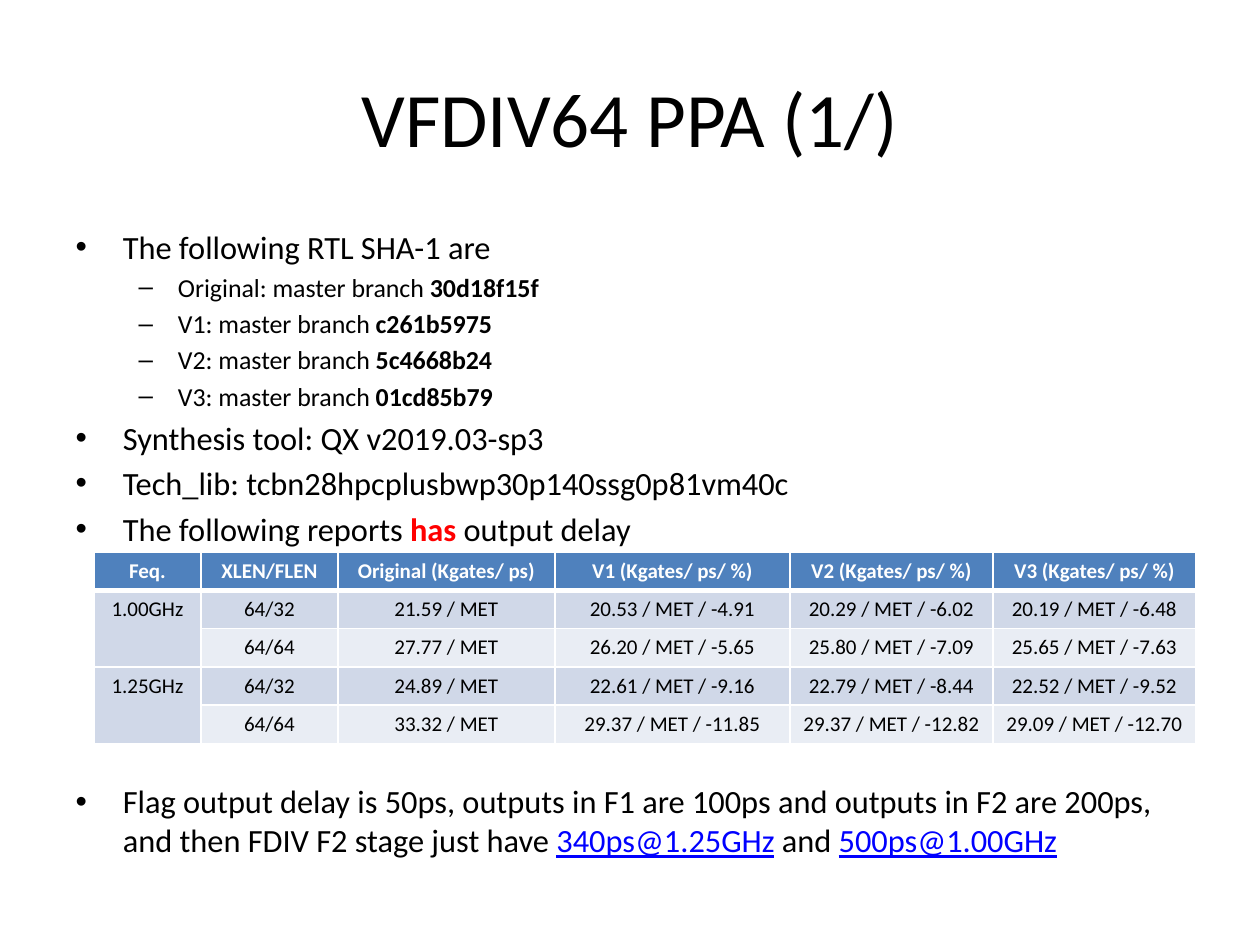
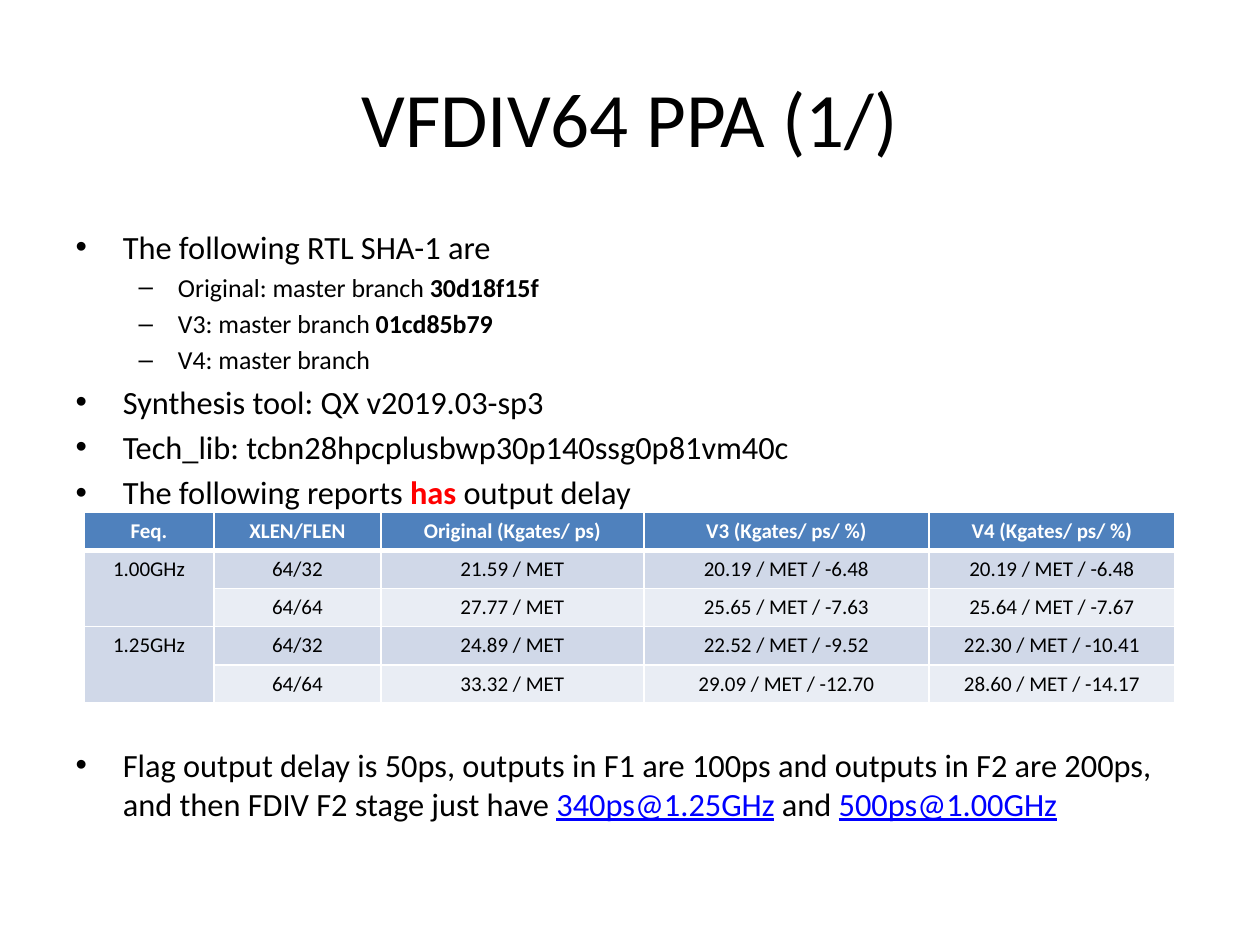
from lxml import etree
from pptx import Presentation
from pptx import util as u
from pptx.dml.color import RGBColor
from pptx.enum import text
from pptx.oxml import ns

PX = u.Inches(10) / 1260
FONT = "Calibri"
BLACK = RGBColor(0x00, 0x00, 0x00)
WHITE = RGBColor(0xFF, 0xFF, 0xFF)
RED = RGBColor(0xFF, 0x00, 0x00)
LINK_BLUE = RGBColor(0x00, 0x00, 0xFF)
HEADER_BLUE = RGBColor(0x4F, 0x81, 0xBD)
BANDS = [RGBColor(0xD0, 0xD8, 0xE8), RGBColor(0xE9, 0xED, 0xF4)]
ROW_HEIGHT = 38
SIZES = [18.5, 14.8]
GAPS = [3.7, 3]
TABLE_GAP = 133.7

FREQUENCIES = ["1.00GHz", "1.25GHz"]
BASELINE = [
    ("XLEN/FLEN", ["64/32", "64/64", "64/32", "64/64"]),
    ("Original (Kgates/ ps)", ["21.59 / MET", "27.77 / MET", "24.89 / MET", "33.32 / MET"]),
]
V3_RESULTS = ("V3 (Kgates/ ps/ %)", ["20.19 / MET / -6.48", "25.65 / MET / -7.63",
                                     "22.52 / MET / -9.52", "29.09 / MET / -12.70"])
REPORTS = [
    {
        "branches": [("Original: master branch ", "30d18f15f"), ("V1: master branch ", "c261b5975"),
                     ("V2: master branch ", "5c4668b24"), ("V3: master branch ", "01cd85b79")],
        "corner": (94, 552),
        "widths": [107, 137, 217, 235, 203, 203],
        "versions": [
            ("V1 (Kgates/ ps/ %)", ["20.53 / MET / -4.91", "26.20 / MET / -5.65",
                                    "22.61 / MET / -9.16", "29.37 / MET / -11.85"]),
            ("V2 (Kgates/ ps/ %)", ["20.29 / MET / -6.02", "25.80 / MET / -7.09",
                                    "22.79 / MET / -8.44", "29.37 / MET / -12.82"]),
            V3_RESULTS,
        ],
    },
    {
        "branches": [("Original: master branch ", "30d18f15f"), ("V3: master branch ", "01cd85b79"),
                     ("V4: master branch", "")],
        "corner": (84, 512),
        "widths": [130, 167, 263, 285, 246],
        "versions": [
            V3_RESULTS,
            ("V4 (Kgates/ ps/ %)", ["20.19 / MET / -6.48", "25.64 / MET / -7.67",
                                    "22.30 / MET / -10.41", "28.60 / MET / -14.17"]),
        ],
    },
]


def px(length):
    return u.Emu(round(length * PX))


def place(part, left, top, width, height):
    part.left, part.top, part.width, part.height = map(px, (left, top, width, height))


deck = Presentation()
deck.slide_width, deck.slide_height = px(1260), px(945)

for report in REPORTS:
    slide = deck.slides.add_slide(deck.slide_layouts[1])

    title = slide.shapes.title
    place(title, 63, 38, 1134, 158)
    title.text_frame.text = "VFDIV64 PPA (1/)"
    heading = title.text_frame.paragraphs[0]
    heading.alignment = text.PP_ALIGN.CENTER
    heading.font.size, heading.font.name = u.Pt(44), FONT
    heading.font.color.rgb = BLACK

    notes = slide.placeholders[1]
    place(notes, 63, 221, 1134, 624)
    notes.text_frame.auto_size = text.MSO_AUTO_SIZE.NONE
    lines = [(0, ["The following RTL SHA-1 are"])]
    lines += [(1, branch) for branch in report["branches"]]
    lines += [
        (0, ["Synthesis tool: QX v2019.03-sp3"]),
        (0, ["Tech_lib: tcbn28hpcplusbwp30p140ssg0p81vm40c"]),
        (0, ["The following reports ", "has ", "output delay"]),
        (0, ["Flag output delay is 50ps, outputs in F1 are 100ps and outputs in F2 are 200ps, "
             "and then FDIV F2 stage just have ", "340ps@1.25GHz", " and ", "500ps@1.00GHz"]),
    ]
    for index, (level, pieces) in enumerate(lines):
        line = notes.text_frame.paragraphs[0] if index == 0 else notes.text_frame.add_paragraph()
        line.level = level
        line.space_before = u.Pt(GAPS[level] if index else 0)
        line.font.size, line.font.name = u.Pt(SIZES[level]), FONT
        line.font.color.rgb = BLACK
        for piece in filter(None, pieces):
            run = line.add_run()
            run.text = piece
            if piece == "has ":
                run.font.bold = True
                run.font.color.rgb = RED
            elif "@" in piece:
                run.font.underline = True
                run.font.color.rgb = LINK_BLUE
            elif level == 1 and piece == pieces[1]:
                run.font.bold = True
    line.space_before = u.Pt(TABLE_GAP)

    columns = BASELINE + report["versions"]
    rows = [["Feq."] + [name for name, _ in columns]]
    for r in range(4):
        frequency = "" if r % 2 else FREQUENCIES[r // 2]
        rows.append([frequency] + [values[r] for _, values in columns])
    left, top = report["corner"]
    results = slide.shapes.add_table(
        len(rows), len(rows[0]), px(left), px(top),
        px(sum(report["widths"])), px(ROW_HEIGHT * len(rows))).table
    for column, width in zip(results.columns, report["widths"]):
        column.width = px(width)
    for r, row in enumerate(rows):
        results.rows[r].height = px(ROW_HEIGHT)
        for c, value in enumerate(row):
            cell = results.cell(r, c)
            cell.text = value
            if r == 0:
                rule = etree.SubElement(cell._tc.get_or_add_tcPr(), ns.qn("a:lnB"), w=str(u.Pt(3)))
                ink = etree.SubElement(rule, ns.qn("a:solidFill"))
                etree.SubElement(ink, ns.qn("a:srgbClr"), val=str(WHITE))
            cell.fill.solid()
            band = BANDS[0] if c == 0 else BANDS[(r - 1) % 2]
            cell.fill.fore_color.rgb = HEADER_BLUE if r == 0 else band
            entry = cell.text_frame.paragraphs[0]
            entry.alignment = text.PP_ALIGN.CENTER
            entry.font.size, entry.font.name = u.Pt(12), FONT
            entry.font.bold = r == 0
            entry.font.color.rgb = BLACK if r else WHITE
    for r in (1, 3):
        results.cell(r, 0).merge(results.cell(r + 1, 0))

deck.save("out.pptx")
